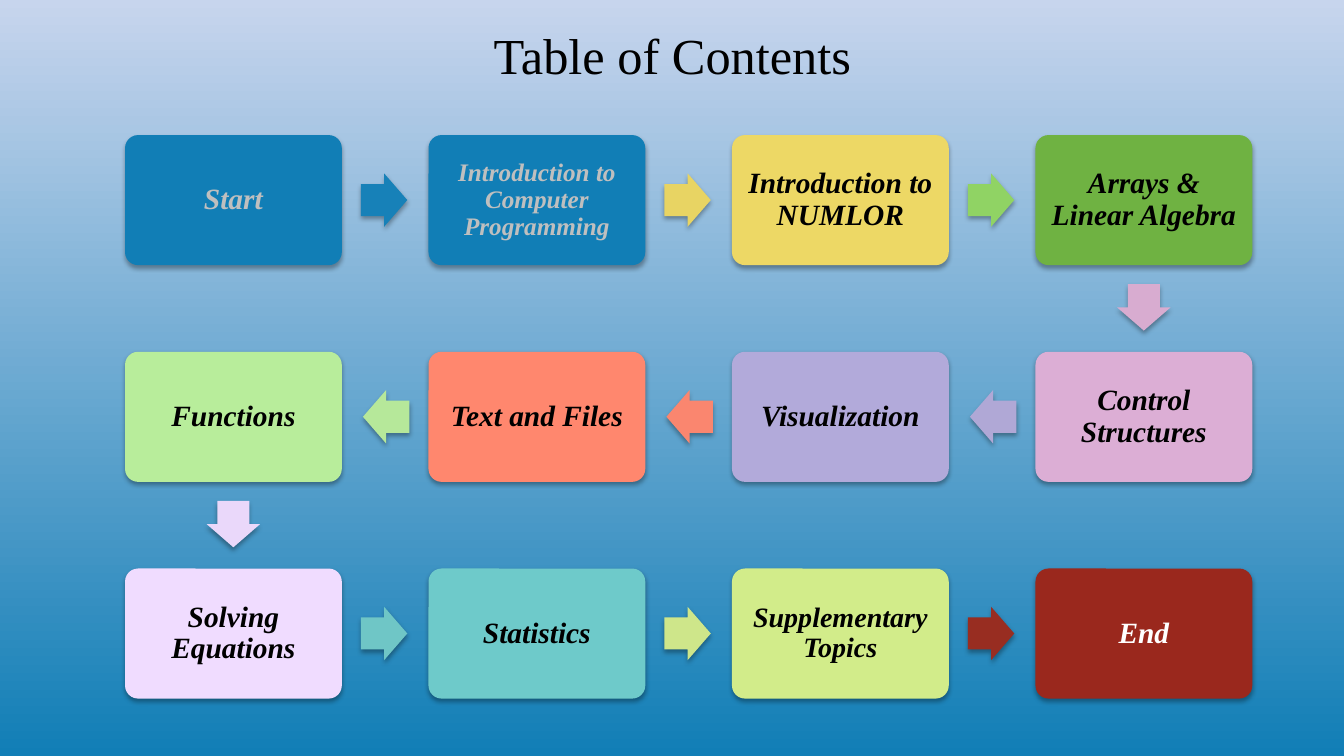
from dataclasses import dataclass

from lxml.etree import SubElement
from pptx import Presentation
from pptx.dml.color import RGBColor
from pptx.enum.shapes import MSO_SHAPE
from pptx.enum.text import MSO_ANCHOR, MSO_AUTO_SIZE, PP_ALIGN
from pptx.oxml.ns import qn
from pptx.shapes.autoshape import Shape
from pptx.slide import Slide
from pptx.util import Pt

PX = 9144  # EMU per px, 100 px to the inch


@dataclass(frozen=True)
class Theme:
    font: str = "Times New Roman"
    title_size: int = 36
    topic_size: int = 21
    dark: str = "000000"
    muted: str = "BFBFBF"
    light: str = "FFFFFF"
    sky_top: str = "C7D5ED"
    sky_bottom: str = "117EB6"
    shadow: str = "000000"


THEME = Theme()


@dataclass(frozen=True)
class Topic:
    label: str
    fill: str
    arrow_fill: str = ""  # arrow that leads to this topic
    ink: str = THEME.dark
    size: int = THEME.topic_size


@dataclass(frozen=True)
class Box:
    left: int
    top: int
    width: int
    height: int

    def emu(self) -> tuple[int, ...]:
        return tuple(n * PX for n in (self.left, self.top, self.width, self.height))


TOPICS = [
    Topic("Start", "117EB6", ink=THEME.muted),
    Topic("Introduction to Computer Programming", "117EB6", "1781B8", THEME.muted, 18),
    Topic("Introduction to NUMLOR", "EDD865", "E8D463"),
    Topic("Arrays & Linear Algebra", "6FB242", "90D364"),
    Topic("Control Structures", "DCAED5", "D8ACD0"),
    Topic("Visualization", "B2AADA", "B0A8D6"),
    Topic("Text and Files", "FF876E", "FA866F"),
    Topic("Functions", "B8ED9B", "B6E89A"),
    Topic("Solving Equations", "F0DCFF", "EAD8FA"),
    Topic("Statistics", "6ECACA", "6FC6C6"),
    Topic("Supplementary Topics", "D2EC8A", "CEE68A", size=20),
    Topic("End", "9A281D", "982D21", THEME.light),
]

# Snaking grid of topics
COLUMNS = 4
GRID_LEFT, GRID_TOP = 124, 134
COLUMN_STEP, ROW_STEP = 301, 215
TILE_WIDTH, TILE_HEIGHT = 215, 129
TILE_INSET = 9
ARROW_LENGTH, ARROW_BREADTH = 46, 53
ARROW_GAP = 19


def apply(target: object, formats: dict[str, object]) -> None:
    for name, value in formats.items():
        setattr(target, name, value)


def write(shape: Shape, text: str, size: int, ink: str, inset: int, **style: bool) -> None:
    frame = shape.text_frame
    margins = {f"margin_{side}": inset * PX for side in ("left", "top", "right", "bottom")}
    apply(frame, {"text": text, "word_wrap": True, "auto_size": MSO_AUTO_SIZE.NONE,
                  "vertical_anchor": MSO_ANCHOR.MIDDLE, **margins})
    paragraph = frame.paragraphs[0]
    apply(paragraph, {"alignment": PP_ALIGN.CENTER, "line_spacing": 0.9})
    font = paragraph.runs[0].font
    apply(font, {"name": THEME.font, "size": Pt(size), **style})
    font.color.rgb = RGBColor.from_string(ink)


def add_shadow(shape: Shape) -> None:
    shape.shadow.inherit = False
    effects = shape._element.spPr.find(qn("a:effectLst"))
    outer = SubElement(effects, qn("a:outerShdw"), blurRad=str(Pt(3.5)), dist=str(Pt(2.2)),
                       dir="5400000", algn="ctr", rotWithShape="0")
    color = SubElement(outer, qn("a:srgbClr"), val=THEME.shadow)
    SubElement(color, qn("a:alpha"), val="32000")


def add_block(slide: Slide, kind: MSO_SHAPE, box: Box, fill: str,
              adjustments: tuple[float, ...]) -> Shape:
    block = slide.shapes.add_shape(kind, *box.emu())
    block.fill.solid()
    block.fill.fore_color.rgb = RGBColor.from_string(fill)
    block.line.fill.background()
    for index, value in enumerate(adjustments):
        block.adjustments[index] = value
    add_shadow(block)
    return block


def tile_box(index: int) -> Box:
    row, step = divmod(index, COLUMNS)
    column = COLUMNS - 1 - step if row % 2 else step
    return Box(GRID_LEFT + column * COLUMN_STEP, GRID_TOP + row * ROW_STEP,
               TILE_WIDTH, TILE_HEIGHT)


def add_arrow(slide: Slide, start: Box, end: Box, fill: str) -> None:
    if end.top > start.top:
        kind = MSO_SHAPE.DOWN_ARROW
        box = Box(start.left + (TILE_WIDTH - ARROW_BREADTH) // 2,
                  start.top + TILE_HEIGHT + ARROW_GAP, ARROW_BREADTH, ARROW_LENGTH)
    else:
        top = start.top + (TILE_HEIGHT - ARROW_BREADTH) // 2
        if end.left > start.left:
            kind, left = MSO_SHAPE.RIGHT_ARROW, start.left + TILE_WIDTH + ARROW_GAP
        else:
            kind, left = MSO_SHAPE.LEFT_ARROW, start.left - ARROW_GAP - ARROW_LENGTH
        box = Box(left, top, ARROW_LENGTH, ARROW_BREADTH)
    add_block(slide, kind, box, fill, (0.6, 0.5))


def add_topic(slide: Slide, topic: Topic, box: Box) -> None:
    tile = add_block(slide, MSO_SHAPE.ROUNDED_RECTANGLE, box, topic.fill, (0.1,))
    write(tile, topic.label, topic.size, topic.ink, TILE_INSET, bold=True, italic=True)


def paint_background(slide: Slide) -> None:
    fill = slide.background.fill
    fill.gradient()
    fill.gradient_angle = 270
    for stop, color, position in zip(fill.gradient_stops,
                                     (THEME.sky_top, THEME.sky_bottom), (0, 1)):
        stop.color.rgb = RGBColor.from_string(color)
        stop.position = position


def main() -> None:
    deck = Presentation()
    apply(deck, {"slide_width": 1333 * PX, "slide_height": 750 * PX})
    slide = deck.slides.add_slide(deck.slide_layouts[5])
    paint_background(slide)

    # Title
    title = slide.shapes.title
    apply(title, dict(zip(("left", "top", "width", "height"), Box(473, 26, 388, 64).emu())))
    write(title, "Table of Contents", THEME.title_size, THEME.dark, 5)

    # Topics, each with the arrow that leads to it
    for index, topic in enumerate(TOPICS):
        box = tile_box(index)
        if index:
            add_arrow(slide, tile_box(index - 1), box, topic.arrow_fill)
        add_topic(slide, topic, box)

    deck.save("out.pptx")


if __name__ == "__main__":
    main()
